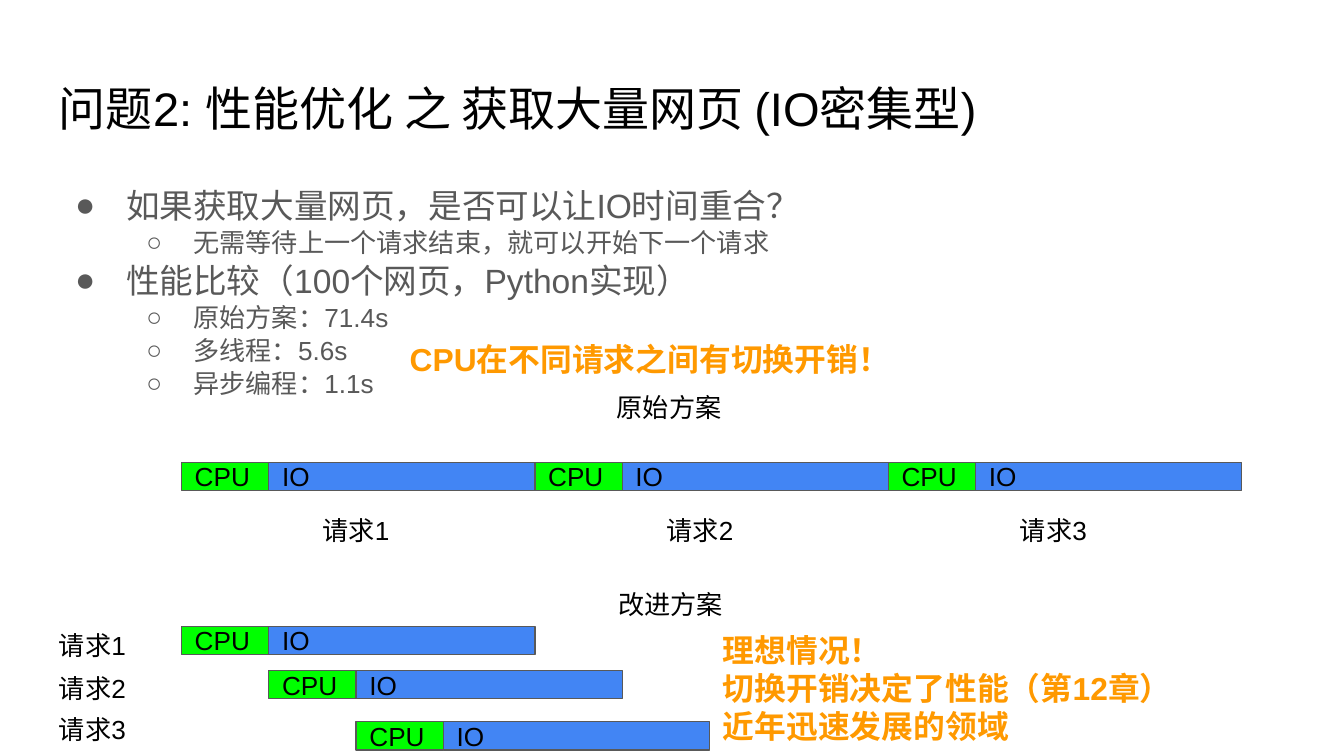
from lxml.etree import SubElement
from pptx import Presentation
from pptx.dml.color import RGBColor
from pptx.enum.shapes import MSO_SHAPE as Shape
from pptx.enum.text import MSO_ANCHOR as Anchor, PP_ALIGN as Align
from pptx.oxml.ns import qn
from pptx.util import Inches, Pt

COLORS = {"black": "000000", "gray": "595959", "cpu": "00FF00", "io": "4285F4", "accent": "FF9900"}
CPU_WIDTH, IO_WIDTH, BAR_HEIGHT = 0.65, 1.98, 0.21
BAR_LEFT, SERIAL_TOP = 1.35, 3.44
POINTS = [
    (0, "如果获取大量网页，是否可以让IO时间重合？"),
    (1, "无需等待上一个请求结束，就可以开始下一个请求"),
    (0, "性能比较（100个网页，Python实现）"),
    (1, "原始方案：71.4s"),
    (1, "多线程：5.6s"),
    (1, "异步编程：1.1s"),
]
LEVELS = [("●", 18, 0.5, 0.38), ("○", 14, 1, 0.35)]
SERIAL_LABEL_LEFTS = [2.3, 4.86, 7.49]
OVERLAP_ROWS = [(4.66, 4.58), (4.99, 4.9), (5.37, 5.21)]


class SlideBuilder:
    """Draws styled text, bullets and request bars on one slide."""

    def __init__(self, slide, font="Arial"):
        self.slide = slide
        self.font = font

    def color(self, name):
        return RGBColor.from_string(COLORS[name])

    def style(self, paragraph, size, color, bold=False):
        font = paragraph.font
        font.name, font.size, font.bold = self.font, Pt(size), bold
        font.color.rgb = self.color(color)

    def frame(self, shape):
        frame = shape.text_frame
        frame.word_wrap = True
        frame.margin_left = frame.margin_right = Inches(0.1)
        frame.margin_top = frame.margin_bottom = Inches(0.1)
        return frame

    def text(self, area, words, size=14, color="black", bold=False):
        frame = self.frame(self.slide.shapes.add_textbox(*map(Inches, area)))
        frame.text = words
        for paragraph in frame.paragraphs:
            self.style(paragraph, size, color, bold)
        return frame

    def bullets(self, area, points):
        frame = self.text(area, "\n".join(words for _, words in points))
        for paragraph, (level, _) in zip(frame.paragraphs, points):
            mark, size, margin, hang = LEVELS[level]
            self.style(paragraph, size, "gray")
            paragraph.level = level
            paragraph.line_spacing = 1.05
            props = paragraph._p.get_or_add_pPr()
            props.set("marL", str(Inches(margin)))
            props.set("indent", str(-Inches(hang)))
            tint = SubElement(props, qn("a:buClr"))
            SubElement(tint, qn("a:srgbClr"), val=COLORS["gray"])
            SubElement(props, qn("a:buFont"), typeface=self.font)
            SubElement(props, qn("a:buChar"), char=mark)
            props.append(props.find(qn("a:defRPr")))

    def segment(self, area, words, fill):
        box = self.slide.shapes.add_shape(Shape.RECTANGLE, *map(Inches, area))
        box.shadow.inherit = False
        box.fill.solid()
        box.fill.fore_color.rgb = self.color(fill)
        box.line.color.rgb = self.color("gray")
        box.line.width = Pt(0.75)
        frame = self.frame(box)
        frame.vertical_anchor = Anchor.MIDDLE
        frame.text = words
        frame.paragraphs[0].alignment = Align.LEFT
        self.style(frame.paragraphs[0], 14, "black")

    def request(self, left, top):
        self.segment((left, top, CPU_WIDTH, BAR_HEIGHT), "CPU", "cpu")
        self.segment((left + CPU_WIDTH, top, IO_WIDTH, BAR_HEIGHT), "IO", "io")


def main():
    deck = Presentation()
    deck.slide_width, deck.slide_height = Inches(10), Inches(10 * 9 / 16)
    page = SlideBuilder(deck.slides.add_slide(deck.slide_layouts[6]))

    page.text((0.34, 0.49, 9.32, 0.63), "问题2: 性能优化 之 获取大量网页 (IO密集型)", 25.2)
    page.bullets((0.34, 1.26, 9.19, 1.81), POINTS)

    page.text((4.49, 2.81, 0.99, 0.21), "原始方案")
    for index, label_left in enumerate(SERIAL_LABEL_LEFTS):
        page.request(BAR_LEFT + index * (CPU_WIDTH + IO_WIDTH), SERIAL_TOP)
        page.text((label_left, 3.73, 0.81, 0.21), f"请求{index + 1}")

    page.text((4.5, 4.28, 0.99, 0.21), "改进方案")
    for index, (bar_top, label_top) in enumerate(OVERLAP_ROWS):
        page.request(BAR_LEFT + index * CPU_WIDTH, bar_top)
        page.text((0.34, label_top, 0.81, 0.21), f"请求{index + 1}")

    page.text((2.95, 2.43, 3.97, 0.54), "CPU在不同请求之间有切换开销！", 17, "accent", True)
    outlook = "理想情况！\n切换开销决定了性能（第12章）\n近年迅速发展的领域"
    page.text((5.28, 4.59, 3.97, 0.99), outlook, 17, "accent", True)
    deck.save("out.pptx")


if __name__ == "__main__":
    main()
